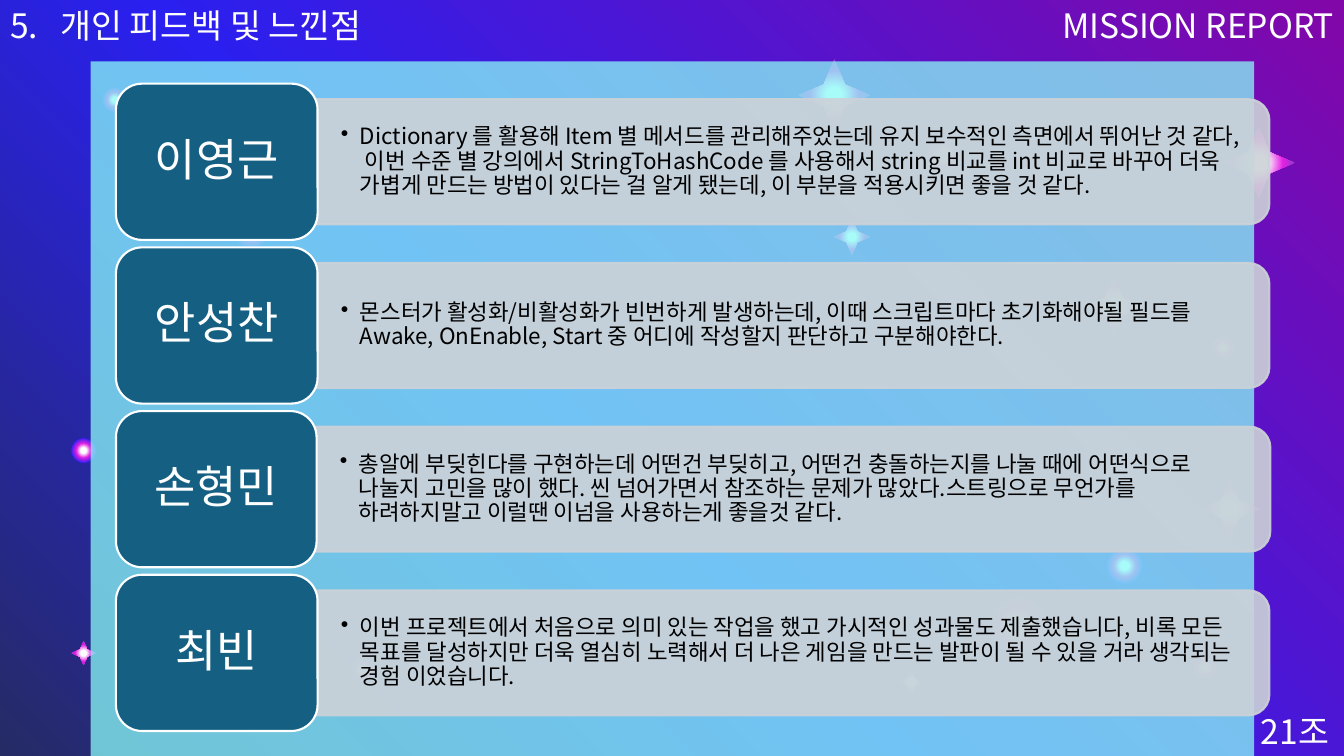
from lxml.etree import SubElement
from pptx import Presentation
from pptx.dml.color import RGBColor
from pptx.enum.shapes import MSO_SHAPE as SHAPE
from pptx.enum.text import MSO_ANCHOR as ANCHOR, MSO_AUTO_SIZE as AUTO_SIZE, PP_ALIGN as ALIGN
from pptx.oxml.ns import qn
from pptx.util import Inches, Pt

WIDTH, HEIGHT = 13.33, 7.5
FONT = "Noto Sans CJK KR"
WHITE, BLACK, GREY, TEAL, AQUA = "FFFFFF", "000000", "CCD2D8", "156082", "8AFAF7"
SKY = [(0, "252B65"), (43, "2A20F0"), (100, "8207A9")]
STAR_GLOW = [(16, WHITE), (48, "E420E4"), (73, "8C3DC7")]
ORB_GLOW = [(16, WHITE), (42, "E420E4"), (73, "2A20F0")]

# left, top, size
STARS = [(7.92, 0.59, 0.71), (11.91, 4.76, 0.58), (0.71, 6.36, 0.24), (12.13, 1.26, 0.71),
         (10.76, 2.75, 0.58), (8.27, 2.17, 0.36), (8.92, 6.65, 0.24)]
ORBS = [(9.8, 5.91, 0.59), (2.31, 2.09, 0.37), (11.83, 6.5, 0.24), (3.48, 6.53, 0.24),
        (9.17, 1.35, 0.37), (12.01, 3.33, 0.24), (0.71, 4.35, 0.24), (1.02, 0.87, 0.24),
        (10.97, 5.43, 0.37)]

# name, feedback, width of the name card, width of the feedback bar
FEEDBACK = [
    ("이영근", "Dictionary 를 활용해 Item 별 메서드를 관리해주었는데 유지 보수적인 측면에서 뛰어난 것 같다, "
     "이번 수준 별 강의에서 StringToHashCode 를 사용해서 string 비교를 int 비교로 바꾸어 더욱 가볍게 "
     "만드는 방법이 있다는 걸 알게 됐는데, 이 부분을 적용시키면 좋을 것 같다.", 2, 9.48),
    ("안성찬", "몬스터가 활성화/비활성화가 빈번하게 발생하는데, 이때 스크립트마다 초기화해야될 필드를 "
     "Awake, OnEnable, Start 중 어디에 작성할지 판단하고 구분해야한다.", 2, 9.48),
    ("손형민", "총알에 부딪힌다를 구현하는데 어떤건 부딪히고, 어떤건 충돌하는지를 나눌 때에 어떤식으로 "
     "나눌지 고민을 많이 했다. 씬 넘어가면서 참조하는 문제가 많았다.스트링으로 무언가를 "
     "하려하지말고 이럴땐 이넘을 사용하는게 좋을것 같다.", 1.99, 9.5),
    ("최빈", "이번 프로젝트에서 처음으로 의미 있는 작업을 했고 가시적인 성과물도 제출했습니다, 비록 "
     "모든 목표를 달성하지만 더욱 열심히 노력해서 더 나은 게임을 만드는 발판이 될 수 있을 거라 "
     "생각되는 경험 이었습니다.", 2, 9.48),
]


def color(hex_code):
    return RGBColor.from_string(hex_code)


def set_gradient(fill, owner, stops, angle=None):
    """Fill with the stops: linear at a clockwise angle, or circular without one."""
    fill.gradient()
    grad = owner.find(".//" + qn("a:gradFill"))
    for child in list(grad):
        grad.remove(child)
    stop_list = SubElement(grad, qn("a:gsLst"))
    for position, hex_code in stops:
        stop = SubElement(stop_list, qn("a:gs"), pos=str(position * 1000))
        SubElement(stop, qn("a:srgbClr"), val=hex_code)
    if angle is None:
        circle = SubElement(grad, qn("a:path"), path="circle")
        SubElement(circle, qn("a:fillToRect"), dict.fromkeys("ltrb", "50000"))
    else:
        SubElement(grad, qn("a:lin"), ang=str(angle * 60000), scaled="0")


def add_plain_shape(slide, kind, box, fill=None, line=None, alpha=None):
    shape = slide.shapes.add_shape(kind, *map(Inches, box))
    shape.shadow.inherit = False
    if fill:
        shape.fill.solid()
        shape.fill.fore_color.rgb = color(fill)
    if line:
        shape.line.color.rgb = color(line)
        shape.line.width = Pt(1.5)
    else:
        shape.line.fill.background()
    if alpha:
        for tint in shape._element.spPr.iter(qn("a:srgbClr")):
            SubElement(tint, qn("a:alpha"), val=str(alpha * 1000))
    return shape


def add_bullet(paragraph, indent, tag, **attributes):
    props = paragraph._p.get_or_add_pPr()
    props.set("marL", str(Inches(indent)))
    props.set("indent", str(-Inches(indent)))
    SubElement(props, qn(tag), attributes)


def write(paragraph, text, size, hex_code, align=ALIGN.LEFT):
    paragraph.text = text
    paragraph.alignment = align
    font = paragraph.font
    font.size, font.name = Pt(size), FONT
    font.color.rgb = color(hex_code)
    SubElement(font._element, qn("a:ea"), typeface=FONT)


def set_frame(frame, anchor, margins=(0.1, 0.05), wrap=True):
    frame.word_wrap = wrap
    frame.auto_size = AUTO_SIZE.NONE
    frame.vertical_anchor = anchor
    frame.margin_left = frame.margin_right = Inches(margins[0])
    frame.margin_top = frame.margin_bottom = Inches(margins[1])
    return frame.paragraphs[0]


def draw_sky(slide):
    set_gradient(slide.background.fill, slide.element, SKY, 315)
    for kind, glow, places in ((SHAPE.STAR_4_POINT, STAR_GLOW, STARS), (SHAPE.OVAL, ORB_GLOW, ORBS)):
        for left, top, size in places:
            light = add_plain_shape(slide, kind, (left, top, size, size))
            if kind == SHAPE.STAR_4_POINT:
                light.adjustments[0] = 0.21
            set_gradient(light.fill, light._element, glow)


def draw_title(slide, box):
    title = slide.shapes.title
    title.left, title.top, title.width, title.height = map(Inches, box)
    heading = set_frame(title.text_frame, ANCHOR.TOP)
    add_bullet(heading, 0.5, "a:buAutoNum", type="arabicPeriod", startAt="5")
    write(heading, "개인 피드백 및 느낀점", 24, WHITE)


def draw_label(slide, box, text, align):
    label = slide.shapes.add_textbox(*map(Inches, box))
    write(set_frame(label.text_frame, ANCHOR.TOP, wrap=align != ALIGN.CENTER), text, 24, WHITE, align)


def draw_feedback(slide, box, name, feedback, card_width, bar_width):
    left, top, _, height = box
    bar_left, bar_height = left + card_width, height * 0.8
    middle = top + height / 2
    bar_box = (bar_left + (bar_width - bar_height) / 2 - 0.04, middle - bar_width / 2,
               bar_height, bar_width)
    bar = add_plain_shape(slide, SHAPE.ROUND_2_SAME_RECTANGLE, bar_box, GREY, GREY, 90)
    bar.rotation = 90

    text_height = bar_height - 0.12
    text_box = (bar_left - 0.04, middle - text_height / 2, bar_width - 0.06, text_height)
    comment = slide.shapes.add_textbox(*map(Inches, text_box))
    line = set_frame(comment.text_frame, ANCHOR.MIDDLE, (0.27, 0.14))
    line.line_spacing = 0.9
    add_bullet(line, 0.19, "a:buChar", char="•")
    write(line, feedback, 16, BLACK)

    card = add_plain_shape(slide, SHAPE.ROUNDED_RECTANGLE, (left, top, card_width, height), TEAL, WHITE)
    member = set_frame(card.text_frame, ANCHOR.MIDDLE, (0.13, 0.07))
    member.line_spacing = 0.9
    member.space_after = Pt(11)
    write(member, name, 32, WHITE, ALIGN.CENTER)


def draw_panel(slide, box):
    left, top, width, height = box
    add_plain_shape(slide, SHAPE.RECTANGLE, box, AQUA, alpha=75)
    row_height, pitch = 1.55, 1.624
    for row, entry in enumerate(FEEDBACK):
        row_box = (left + 0.25, top + 0.22 + row * pitch, width, row_height)
        draw_feedback(slide, row_box, *entry)


def main():
    deck = Presentation()
    deck.slide_width, deck.slide_height = Inches(WIDTH), Inches(HEIGHT)
    slide = deck.slides.add_slide(deck.slide_layouts[5])
    half = WIDTH / 2
    draw_sky(slide)
    draw_title(slide, (0, 0, half, 0.5))
    draw_label(slide, (WIDTH - 0.97, HEIGHT - 0.5, 0.97, 0.5), "21조", ALIGN.CENTER)
    draw_panel(slide, (0.9, 0.61, 11.54, HEIGHT - 0.61))
    draw_label(slide, (half, 0, half, 0.5), "MISSION REPORT", ALIGN.RIGHT)
    deck.save("out.pptx")


if __name__ == "__main__":
    main()
